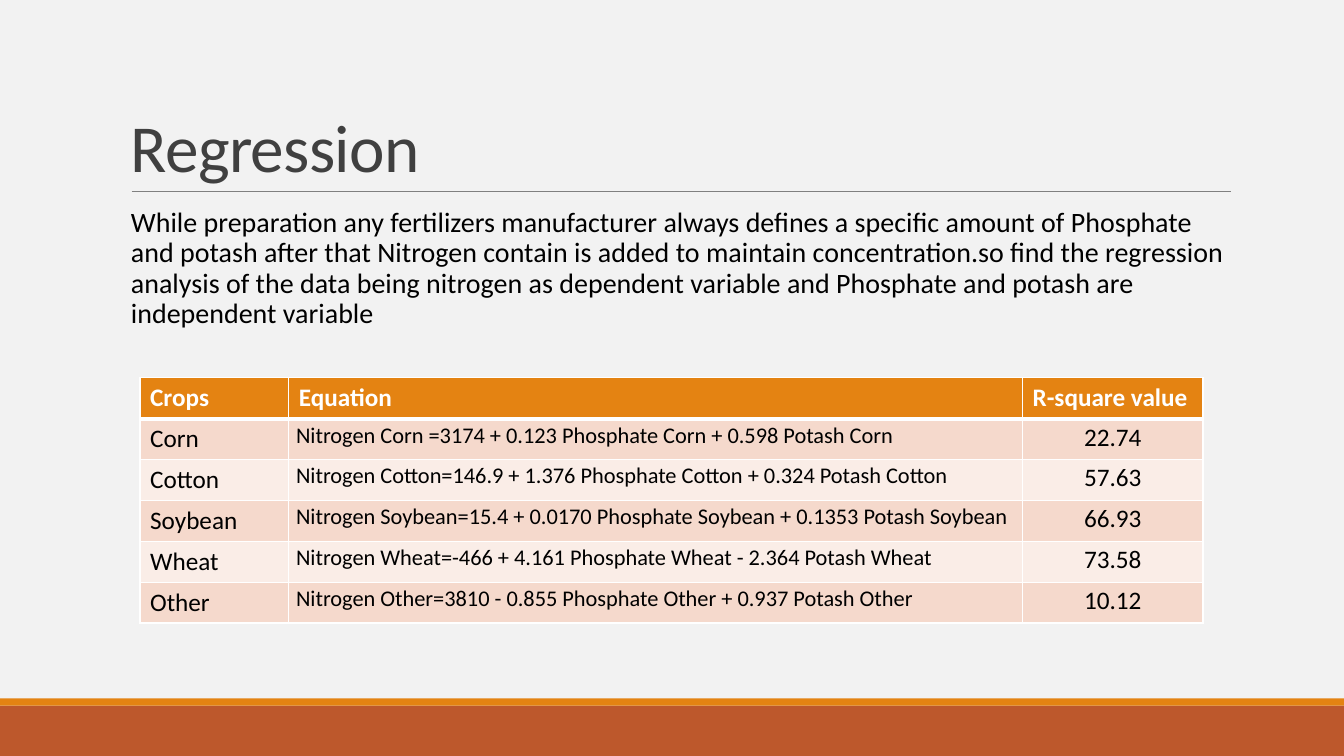
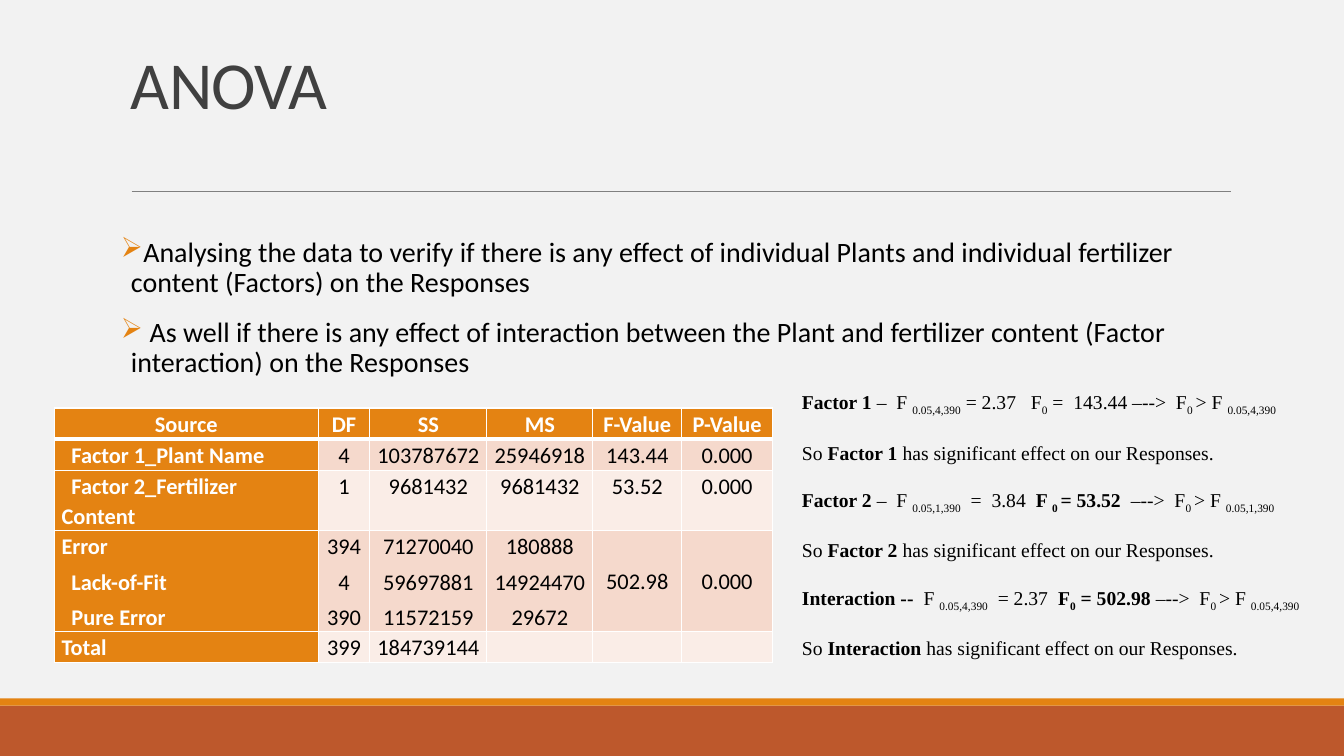
from lxml import etree
from pptx import Presentation
from pptx import util as u
from pptx.dml.color import RGBColor
from pptx.enum import shapes, text
from pptx.oxml.ns import qn

HUE = {"back": "F2F2F2", "rust": "BD582C", "gold": "E48312", "rule": "808080",
       "title": "404040", "ink": "000000", "white": "FFFFFF",
       "odd": "F5D9CC", "even": "FAEDE7"}
Cm, Pt = u.Cm, u.Pt
MID = text.PP_ALIGN.CENTER


def add(par, words, size, hue="ink", bold=False, sub=False, face="Calibri"):
    """Add one styled run to a paragraph and return it."""
    run = par.add_run()
    run.text = words
    font = run.font
    font.name, font.size, font.bold = face, Pt(size), bold
    font.color.rgb = RGBColor.from_string(HUE[hue])
    if sub:
        font._element.set("baseline", "-25000")
    return run


def grid(slide, left, top, cols, rows, data, look):
    """Draw a table; look(r, c) gives size, tight, centred, strong, anchor."""
    frame = slide.shapes.add_table(len(rows), len(cols), Cm(left), Cm(top),
                                   Cm(sum(cols)), Cm(sum(rows)))
    table = frame.table
    for col, wide in zip(table.columns, cols):
        col.width = Cm(wide)
    for row, high in zip(table.rows, rows):
        row.height = Cm(high)
    for r, line in enumerate(data):
        for c, words in enumerate(line):
            size, tight, mid, strong, anchor = look(r, c)
            cell = table.cell(r, c)
            cell.vertical_anchor = anchor
            if tight:
                cell.margin_left = cell.margin_right = Cm(0.18)
                cell.margin_top = cell.margin_bottom = Cm(0.03)
            cell.fill.solid()
            fill = "gold" if strong else "odd" if r % 2 else "even"
            cell.fill.fore_color.rgb = RGBColor.from_string(HUE[fill])
            for i, side in enumerate(("lnL", "lnR", "lnT", "lnB")):
                thick = (r, side) in ((0, "lnB"), (1, "lnT"))
                edge = etree.Element(qn("a:" + side), w=str(Pt(3 if thick else 1)))
                paint = etree.SubElement(edge, qn("a:solidFill"))
                etree.SubElement(paint, qn("a:srgbClr"), val=HUE["white"])
                cell._tc.tcPr.insert(i, edge)
            for i, part in enumerate(words.split("\n")):
                body = cell.text_frame
                par = body.add_paragraph() if i else body.paragraphs[0]
                if mid:
                    par.alignment = MID
                if tight:
                    par.line_spacing, par.space_before = 1.07, Pt(4.5)
                if part.startswith(" "):
                    par._p.get_or_add_pPr().set("indent", str(Cm(0.25)))
                if part:
                    add(par, part.strip(" "), size, "white" if strong else "ink", strong)
                else:
                    etree.SubElement(par._p, qn("a:endParaRPr"), sz=str(size * 100))


deck = Presentation()
deck.slide_width, deck.slide_height = Cm(33.87), Cm(19.05)

# Shared frame: background, bands, rule, title and body text
pages = [
    ("Regression", 4.04, 5.13, None, [
        "While preparation any fertilizers manufacturer always defines a specific "
        "amount of Phosphate and potash after that Nitrogen contain is added to "
        "maintain concentration.so find the regression analysis of the data being "
        "nitrogen as dependent variable and Phosphate and potash are independent "
        "variable"]),
    ("ANOVA", 2.44, 5.87, "\u27a2", [
        "Analysing the data to verify if there is any effect of individual Plants "
        "and individual fertilizer content (Factors) on the Responses ",
        " As well if there is any effect of interaction between the Plant and "
        "fertilizer content (Factor interaction) on the Responses"]),
]
for title, high, top, mark, paras in pages:
    slide = deck.slides.add_slide(deck.slide_layouts[6])
    slide.background.fill.solid()
    slide.background.fill.fore_color.rgb = RGBColor.from_string(HUE["back"])
    for hue, y, tall in (("rust", 17.78, 1.27), ("gold", 17.6, 0.18)):
        band = slide.shapes.add_shape(shapes.MSO_SHAPE.RECTANGLE, 0, Cm(y),
                                      deck.slide_width, Cm(tall))
        band.shadow.inherit = False
        band.fill.solid()
        band.fill.fore_color.rgb = RGBColor.from_string(HUE[hue])
        band.line.fill.background()
    rule = slide.shapes.add_connector(shapes.MSO_CONNECTOR.STRAIGHT,
                                      Cm(3.32), Cm(4.82), Cm(31.01), Cm(4.82))
    rule.line.color.rgb = RGBColor.from_string(HUE["rule"])
    rule.line.width = Pt(0.5)
    etree.SubElement(rule._element.spPr, qn("a:effectLst"))

    head = slide.shapes.add_textbox(Cm(3.05), Cm(0.78), Cm(27.94), Cm(high)).text_frame
    head.word_wrap = True
    head.vertical_anchor = text.MSO_ANCHOR.BOTTOM
    head.paragraphs[0].line_spacing = 0.85
    run = add(head.paragraphs[0], title, 48, "title")
    run.font._element.set("spc", "-50")

    body = slide.shapes.add_textbox(Cm(3.05), Cm(top), Cm(27.94), Cm(11.18)).text_frame
    body.word_wrap = True
    body.margin_left = body.margin_right = 0
    for i, words in enumerate(paras):
        par = body.add_paragraph() if i else body.paragraphs[0]
        par.line_spacing, par.space_before, par.space_after = 0.9, Pt(12), Pt(2)
        props = par._p.get_or_add_pPr()
        props.set("marL", str(Cm(0.25)))
        if mark:
            props.set("indent", str(Cm(-0.25)))
            tint = etree.SubElement(props, qn("a:buClr"))
            etree.SubElement(tint, qn("a:srgbClr"), val=HUE["gold"])
            etree.SubElement(props, qn("a:buChar"), char=mark)
        add(par, words, 20)

# Regression table
crops = [
    ("Crops", "Equation", "R-square value"),
    ("Corn", "Nitrogen Corn =3174 +\u00a00.123\u00a0Phosphate\u00a0Corn +\u00a00.598\u00a0Potash\u00a0Corn", "22.74"),
    ("Cotton", "Nitrogen Cotton=146.9 +\u00a01.376\u00a0Phosphate\u00a0Cotton +\u00a00.324\u00a0Potash\u00a0Cotton", "57.63"),
    ("Soybean", "Nitrogen Soybean=15.4 +\u00a00.0170\u00a0Phosphate\u00a0Soybean +\u00a00.1353\u00a0Potash\u00a0Soybean", "66.93"),
    ("Wheat", "Nitrogen Wheat=-466 +\u00a04.161\u00a0Phosphate\u00a0Wheat -\u00a02.364\u00a0Potash\u00a0Wheat", "73.58"),
    ("Other", "Nitrogen Other=3810 -\u00a00.855\u00a0Phosphate\u00a0Other +\u00a00.937\u00a0Potash\u00a0Other", "10.12"),
]
grid(deck.slides[0], 3.53, 9.52, [3.75, 18.49, 4.55], [1.03] * 6, crops,
     lambda r, c: (16 if r and c == 1 else 18, r and c, r and c == 2, r == 0,
                   text.MSO_ANCHOR.TOP))

# ANOVA table
slide = deck.slides[1]
anova = [
    ("Source", "DF", "SS", "MS", "F-Value", "P-Value"),
    (" Factor 1_Plant Name", "4", "103787672", "25946918", "143.44", "0.000"),
    (" Factor 2_Fertilizer Content", "1", "9681432", "9681432", "53.52", "0.000"),
    ("Error\n Lack-of-Fit\n Pure Error", "394\n4\n390",
     "71270040\n59697881\n11572159", "180888\n14924470\n29672", "502.98", "0.000"),
    ("Total", "399", "184739144", "", "", ""),
]
spots = {0: text.MSO_ANCHOR.BOTTOM, 3: text.MSO_ANCHOR.MIDDLE}
grid(slide, 1.37, 10.28, [6.65, 1.3, 2.95, 2.67, 2.24, 2.29],
     [0.74, 0.74, 0.74, 2.54, 0.74], anova,
     lambda r, c: (16, True, r == 0 or c, r == 0 or c == 0,
                   spots.get(r, text.MSO_ANCHOR.TOP)))

# F tests beside the table
tests = [
    ("Factor 1", "", " \u2013  F ", "0.05,4,390", " = 2.37   ",
     "F", "0", " =  143.44 ", False, " "),
    ("Factor 2", "", " \u2013  F ", "0.05,1,390", "  =  3.84  ",
     "F ", "0 ", "= 53.52  ", True, ""),
    ("Interaction", " --  ", "F ", "0.05,4,390", "  = 2.37  ",
     "F", "0", " = 502.98 ", True, " "),
]
note = slide.shapes.add_textbox(Cm(19.96), Cm(9.7), Cm(13.44), Cm(7.44)).text_frame
note.word_wrap = True
for i, (name, dash, lead, free, crit, stat, zero, value, bold, tail) in enumerate(tests):
    first = note.add_paragraph() if i else note.paragraphs[0]
    last = note.add_paragraph()
    lines = [
        (first, [(name + dash, True, False), (lead, False, False), (free, False, True),
                 (crit, False, False), (stat, bold, False), (zero, bold, True),
                 (value, bold, False), ("\u2013-->  F", False, False),
                 ("0 ", False, True), ("> F ", False, False), (free, False, True)]),
        (last, [("So ", False, False), (name, True, False),
                (" has significant effect on our Responses." + tail, False, False)]),
    ]
    for par, runs in lines:
        par.space_before = Pt(17)
        for words, strong, sub in runs:
            add(par, words, 14, "ink", strong, sub, "Times New Roman")

deck.save("out.pptx")
